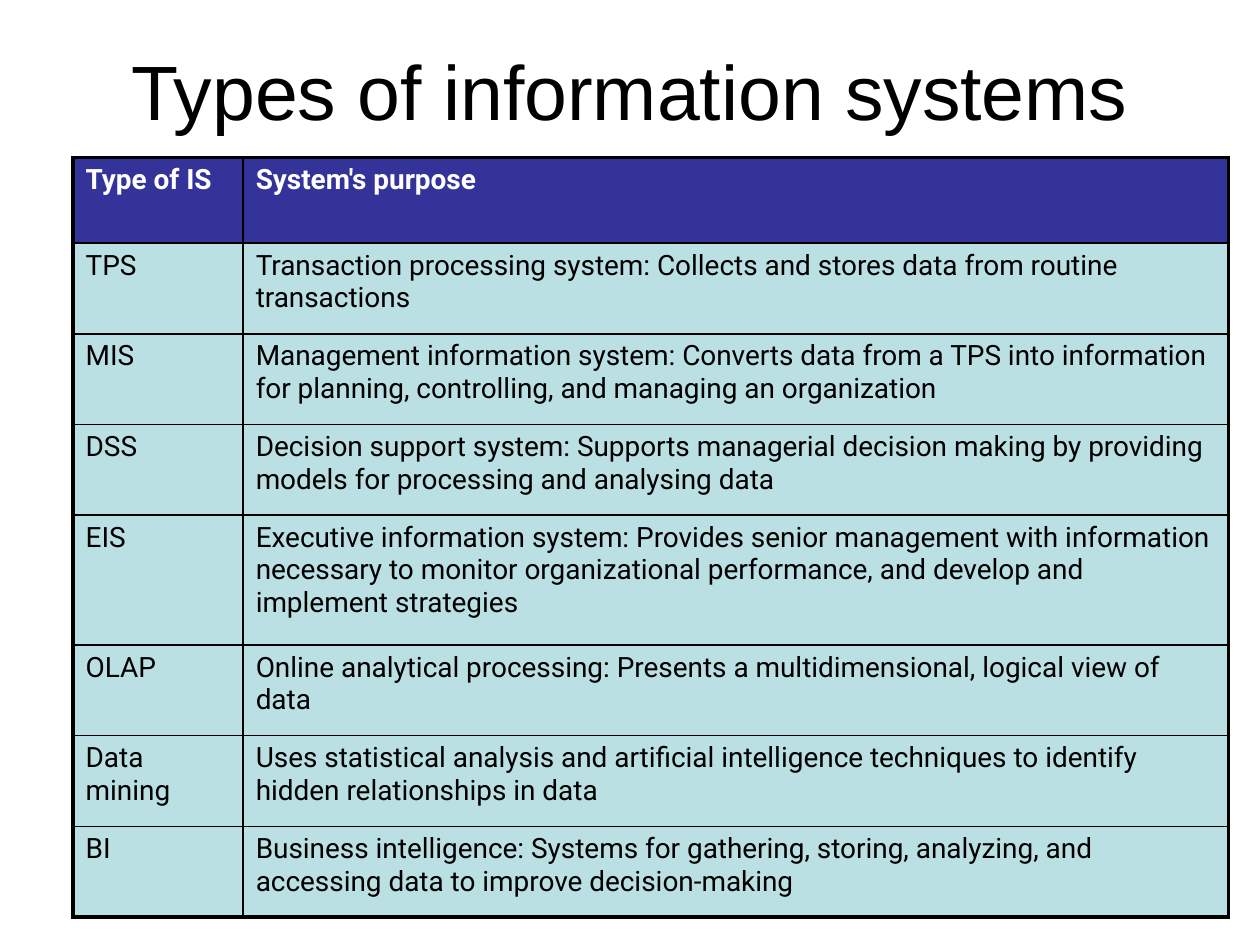
from lxml import etree
from pptx import Presentation
from pptx.dml.color import RGBColor
from pptx.enum import text
from pptx.oxml.ns import qn
from pptx.util import Inches, Pt

TITLE = "Types of information systems"
ROWS = [
    ("Type of IS", "System's purpose"),
    ("TPS", "Transaction processing system: Collects and stores data from "
            "routine transactions"),
    ("MIS", "Management information system: Converts data from a TPS into "
            "information for planning, controlling, and managing an organization"),
    ("DSS", "Decision support system: Supports managerial decision making by "
            "providing models for processing and analysing data"),
    ("EIS", "Executive information system: Provides senior management with "
            "information necessary to monitor organizational performance, and "
            "develop and implement strategies"),
    ("OLAP", "Online analytical processing: Presents a multidimensional, "
             "logical view of data"),
    ("Data mining", "Uses statistical analysis and artificial intelligence "
                    "techniques to identify hidden relationships in data"),
    ("BI", "Business intelligence: Systems for gathering, storing, analyzing, "
           "and accessing data to improve decision-making"),
]
WIDTHS = [1.35, 7.82]
HEIGHTS = [0.68] + [0.72] * 3 + [1.03] + [0.72] * 3

THEME = {
    "title": {"name": "Arial", "size": Pt(44), "bold": False, "color": "000000"},
    "head": {"name": "Roboto", "size": Pt(16), "bold": True, "color": "FFFFFF"},
    "body": {"name": "Roboto", "size": Pt(16), "bold": False, "color": "000000"},
    "head fill": "333399",
    "body fill": "BBE0E3",
    "line": "000000",
    "outer": 2.25,
    "inner": 1,
}


def style(para, look):
    font = para.runs[0].font
    for key, value in THEME[look].items():
        if key == "color":
            font.color.rgb = RGBColor.from_string(value)
        else:
            setattr(font, key, value)


def space(para):
    """Put 20% of a line before the paragraph."""
    gap = etree.SubElement(para._p.get_or_add_pPr(), qn("a:spcBef"))
    etree.SubElement(gap, qn("a:spcPct"), val="20000")


def border(cell, edges):
    """Draw each side, thick where it lies on the table's edge."""
    props = cell._tc.get_or_add_tcPr()
    for spot, (side, outer) in enumerate(edges.items()):
        width = THEME["outer" if outer else "inner"]
        line = etree.Element(qn(f"a:ln{side}"), w=str(int(Pt(width))))
        fill = etree.SubElement(line, qn("a:solidFill"))
        etree.SubElement(fill, qn("a:srgbClr"), val=THEME["line"])
        props.insert(spot, line)


def add_title(slide):
    title = slide.shapes.title
    title.left, title.top = Inches(0.75), Inches(0.25)
    title.width, title.height = Inches(8.5), Inches(0.92)
    frame = title.text_frame
    frame.text = TITLE
    frame.vertical_anchor = text.MSO_ANCHOR.MIDDLE
    frame.paragraphs[0].alignment = text.PP_ALIGN.CENTER
    style(frame.paragraphs[0], "title")


def add_grid(slide):
    grid = slide.shapes.add_table(
        len(ROWS), len(WIDTHS), Inches(0.58), Inches(1.25),
        Inches(sum(WIDTHS)), Inches(sum(HEIGHTS))).table
    grid.first_row = grid.horz_banding = False
    for col, width in zip(grid.columns, WIDTHS):
        col.width = Inches(width)
    for r, (row, height) in enumerate(zip(ROWS, HEIGHTS)):
        grid.rows[r].height = Inches(height)
        look = "body" if r else "head"
        for c, words in enumerate(row):
            cell = grid.cell(r, c)
            cell.text = words
            para = cell.text_frame.paragraphs[0]
            space(para)
            style(para, look)
            cell.fill.solid()
            cell.fill.fore_color.rgb = RGBColor.from_string(THEME[look + " fill"])
            border(cell, {"L": c == 0, "R": c == len(WIDTHS) - 1,
                          "T": r == 0, "B": r == len(ROWS) - 1})


def main():
    deck = Presentation()
    deck.slide_width, deck.slide_height = Inches(10), Inches(7.5)
    slide = deck.slides.add_slide(deck.slide_layouts[5])
    add_title(slide)
    add_grid(slide)
    deck.save("out.pptx")


if __name__ == "__main__":
    main()
